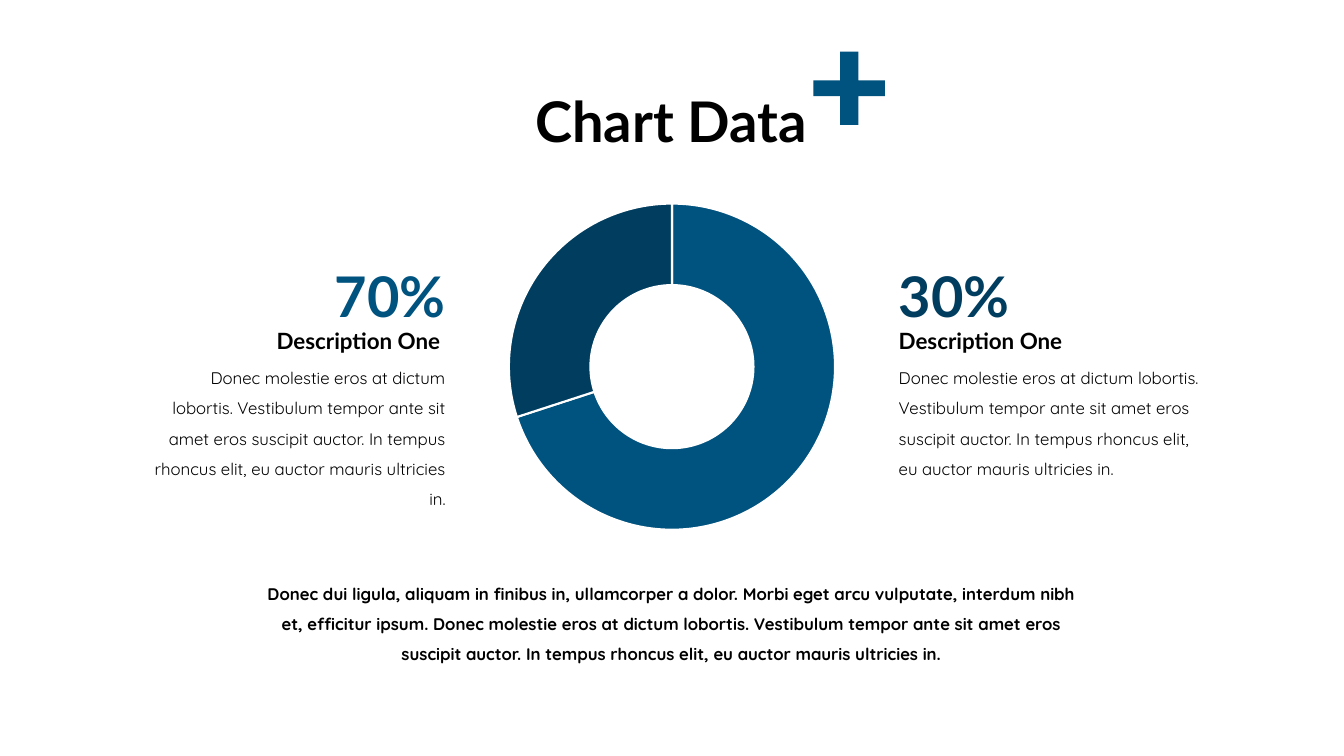
from pptx import Presentation
from pptx.chart.data import CategoryChartData
from pptx.dml.color import RGBColor
from pptx.enum.chart import XL_CHART_TYPE as ChartType
from pptx.enum.text import MSO_ANCHOR as Anchor, MSO_AUTO_SIZE as AutoSize, PP_ALIGN as Align
from pptx.util import Cm, Pt

BLUE, NAVY, BLACK, WHITE = "00527F", "003D5F", "000000", "FFFFFF"
HEADING_FONT, BODY_FONT = "Lato", "Quicksand"
DETAIL = ("Donec molestie eros at dictum lobortis. Vestibulum tempor ante sit amet eros "
          "suscipit auctor. In tempus rhoncus elit, eu auctor mauris ultricies in.")
SUMMARY = ("Donec dui ligula, aliquam in finibus in, ullamcorper a dolor. Morbi eget arcu "
           "vulputate, interdum nibh et, efficitur ipsum. " + DETAIL)


def rgb(color):
    return RGBColor.from_string(color)


def style_font(font, name, size, color=BLACK, bold=False):
    font.name, font.size, font.bold = name, Pt(size), bold
    font.color.rgb = rgb(color)


def add_title(slide, text):
    title = slide.shapes.title
    title.left, title.top, title.width, title.height = Cm(10.46), Cm(1.3), Cm(12.9), Cm(3.68)
    frame = title.text_frame
    frame.text = text
    frame.vertical_anchor = Anchor.MIDDLE
    paragraph = frame.paragraphs[0]
    paragraph.alignment, paragraph.line_spacing = Align.CENTER, 0.9
    style_font(paragraph.font, HEADING_FONT, 40, bold=True)


def add_text(slide, box, text, align, font_name, size, color=BLACK, bold=False):
    frame = slide.shapes.add_textbox(*map(Cm, box)).text_frame
    frame.word_wrap = True
    frame.auto_size = AutoSize.SHAPE_TO_FIT_TEXT
    paragraph = frame.paragraphs[0]
    paragraph.text = text
    paragraph.alignment, paragraph.line_spacing = align, 1.5
    style_font(paragraph.font, font_name, size, color, bold)


def add_share(slide, edge, align, percent, color, label, widths):
    """Stack percentage, label and detail against one vertical edge."""
    rows = [
        (5.61, 2.6, percent, HEADING_FONT, 40, color, True),
        (7.77, 1.2, label, HEADING_FONT, 16, BLACK, True),
        (8.89, 3.33, DETAIL, BODY_FONT, 12, BLACK, False),
    ]
    for width, (top, height, text, *style) in zip(widths, rows):
        left = edge - width if align == Align.RIGHT else edge
        add_text(slide, (left, top, width, height), text, align, *style)


def add_doughnut(slide, shares, colors):
    data = CategoryChartData()
    data.categories = [str(number) for number in range(1, len(shares) + 1)]
    data.add_series("Series 1", shares)
    box = map(Cm, (10.24, 4.78, 13.39, 8.92))
    chart = slide.shapes.add_chart(ChartType.DOUGHNUT, *box, data).chart
    chart.has_title = chart.has_legend = False
    style_font(chart.font, BODY_FONT, 10)
    plot = chart.plots[0]
    plot.vary_by_categories = True
    for hole in plot._element.xpath("c:holeSize"):
        hole.set("val", "75")
    for index, color in enumerate(colors):
        ring_part = plot.series[0].points[index].format
        ring_part.fill.solid()
        ring_part.fill.fore_color.rgb = rgb(color)
        ring_part.line.color.rgb = rgb(WHITE)
        ring_part.line.width = Pt(1.5)


def add_plus(slide, left, top, width, height, stem, bar):
    """Draw a plus with a stem of the given width and a bar of the given height."""
    x0, x3, y0, y3 = left, left + width, top, top + height
    x1, y1 = left + (width - stem) / 2, top + (height - bar) / 2
    x2, y2 = x1 + stem, y1 + bar
    corners = [(x1, y0), (x2, y0), (x2, y1), (x3, y1), (x3, y2), (x2, y2),
               (x2, y3), (x1, y3), (x1, y2), (x0, y2), (x0, y1), (x1, y1)]
    start, *others = [(Cm(x), Cm(y)) for x, y in corners]
    builder = slide.shapes.build_freeform(*start)
    builder.add_line_segments(others, close=True)
    plus = builder.convert_to_shape()
    plus.shadow.inherit = False
    plus.fill.solid()
    plus.fill.fore_color.rgb = rgb(BLUE)
    plus.line.fill.background()


def main():
    deck = Presentation()
    deck.slide_width, deck.slide_height = Cm(33.87), Cm(19.05)
    slide = deck.slides.add_slide(deck.slide_layouts[5])
    add_title(slide, "Chart Data")
    add_doughnut(slide, (70, 30), (BLUE, NAVY))
    add_share(slide, 11.48, Align.RIGHT, "70%", BLUE, "Description One ", (4.5, 9.12, 7.9))
    add_share(slide, 22.4, Align.LEFT, "30%", NAVY, "Description One", (4.5, 7.34, 8.23))
    add_plus(slide, 20.5, 1.3, 1.8, 1.85, stem=0.46, bar=0.4)
    add_text(slide, (6.22, 14.33, 21.41, 2.57), SUMMARY, Align.CENTER, BODY_FONT, 12, bold=True)
    deck.save("out.pptx")


if __name__ == "__main__":
    main()
